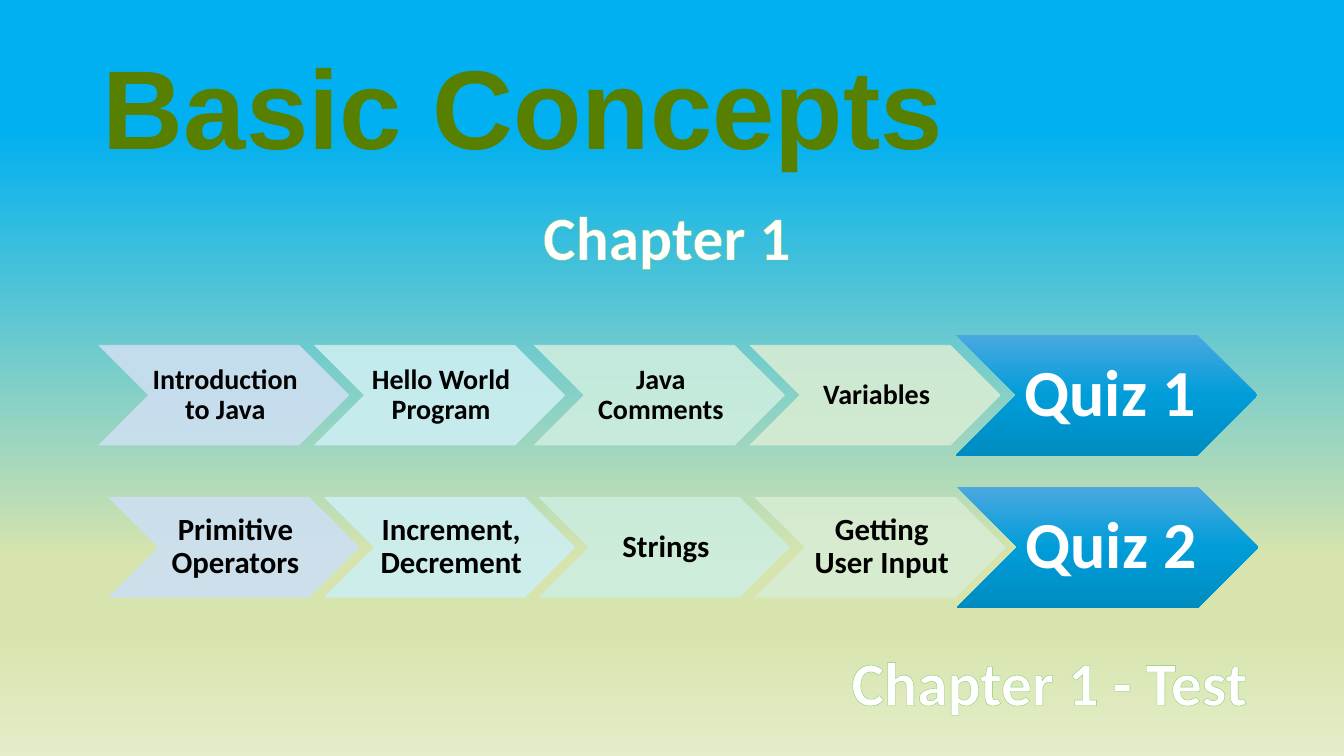
from dataclasses import dataclass

from lxml import etree
from pptx import Presentation
from pptx.dml.color import RGBColor
from pptx.enum.shapes import MSO_SHAPE
from pptx.enum.text import MSO_ANCHOR, MSO_AUTO_SIZE, PP_ALIGN
from pptx.oxml.ns import qn
from pptx.util import Inches, Pt

CHEVRON = MSO_SHAPE.CHEVRON
MIDDLE = MSO_ANCHOR.MIDDLE
CENTER, LEFT = PP_ALIGN.CENTER, PP_ALIGN.LEFT
NO_AUTOFIT = MSO_AUTO_SIZE.NONE


@dataclass(frozen=True)
class Theme:
    title_font: str = "Arial"
    font: str = "Calibri"
    title: str = "578000"
    dark: str = "000000"
    light: str = "FFFFFF"
    outline: str = "7CCA62"
    steps: tuple = ("CCDFF1", "CCEEF1", "CCEDDE", "D7ECD3")
    quiz: tuple = ((0, "4BA8E0"), (50, "009DD9"), (100, "008CC1"))
    sky: tuple = ((17, "00B0F0"), (74, "D7E4AD"), (83, "D7E4AD"), (100, "E4EDC8"))
    title_size: int = 80
    quiz_size: int = 47
    chapter_size: int = 44


theme = Theme()


def set_gradient(fill, element, stops):
    """Fill from top to bottom; element is the XML that holds the fill."""
    fill.gradient()
    fill.gradient_angle = 270
    stop_list = next(element.iter(qn("a:gsLst")))
    for old in list(stop_list):
        stop_list.remove(old)
    for percent, color in stops:
        gs = etree.SubElement(stop_list, qn("a:gs"), pos=str(percent * 1000))
        etree.SubElement(gs, qn("a:srgbClr"), val=color)


def write(sp, text, size, color, font=theme.font, align=CENTER, spacing=0.9, margins=(0.07, 0.03, 0, 0.03)):
    tf = sp.text_frame
    tf.word_wrap = True
    tf.auto_size = NO_AUTOFIT
    tf.vertical_anchor = MIDDLE
    tf.margin_left, tf.margin_top, tf.margin_right, tf.margin_bottom = map(Inches, margins)
    p = tf.paragraphs[0]
    p.alignment = align
    p.line_spacing = spacing
    r = p.add_run()
    r.text = text
    r.font.name = font
    r.font.size = Pt(size)
    r.font.bold = True
    r.font.color.rgb = RGBColor.from_string(color)
    return r


prs = Presentation()
prs.slide_width, prs.slide_height = Inches(13.33), Inches(7.5)
s = prs.slides.add_slide(prs.slide_layouts[5])
set_gradient(s.background.fill, s.element, theme.sky)

# Title
title = s.shapes.title
title.left, title.top, title.width, title.height = map(Inches, (0.92, 0.4, 11.5, 1.45))
write(title, "Basic Concepts", theme.title_size, theme.title, theme.title_font, LEFT,
      margins=(0.1, 0.05, 0.1, 0.05))

# Lesson rows: each quiz chevron is taller and shares its row's centre line
STEP_W, STEP_H = 2.48, 0.99
QUIZ_W, QUIZ_H = 2.99, 1.2
lesson_rows = (
    (3.92, 20, (0.98, 3.12, 5.3, 7.44), 9.48, "Quiz 1",
     ("Introduction to Java", "Hello World Program", "Java Comments", "Variables")),
    (5.43, 22, (1.08, 3.22, 5.35, 7.49), 9.49, "Quiz 2",
     ("Primitive Operators", "Increment, Decrement", "Strings", "Getting User Input")),
)
for middle, step_size, lefts, quiz_left, quiz_name, lessons in lesson_rows:
    row = s.shapes.add_group_shape()
    quiz = row.shapes.add_shape(CHEVRON, Inches(quiz_left), Inches(middle - QUIZ_H / 2),
                                Inches(QUIZ_W), Inches(QUIZ_H))
    quiz.shadow.inherit = False
    set_gradient(quiz.fill, quiz.element, theme.quiz)
    quiz.line.fill.background()
    write(quiz, quiz_name, theme.quiz_size, theme.light)

    for left, lesson, color in zip(lefts, lessons, theme.steps):
        step = row.shapes.add_shape(CHEVRON, Inches(left), Inches(middle - STEP_H / 2),
                                    Inches(STEP_W), Inches(STEP_H))
        step.shadow.inherit = False
        step.line.width = Pt(0.5)
        for fill in (step.fill, step.line.fill):
            fill.solid()
            fill.fore_color.rgb = RGBColor.from_string(color)
        for clr in step.element.spPr.iter(qn("a:srgbClr")):
            etree.SubElement(clr, qn("a:alpha"), val="90000")
        write(step, lesson, step_size, theme.dark, margins=(0.03, 0.01, 0, 0.01))

# Chapter labels with outlined letters
chapters = (
    ("Chapter 1", (4.89, 1.85, 3.38, 0.97)),
    ("Chapter 1 - Test", (8.06, 6.23, 4.63, 1.05)),
)
for text, box in chapters:
    label = s.shapes.add_textbox(*map(Inches, box))
    r = write(label, text, theme.chapter_size, theme.light, spacing=1.0)
    ln = etree.Element(qn("a:ln"), w=str(Pt(0.8)))
    solid = etree.SubElement(ln, qn("a:solidFill"))
    etree.SubElement(solid, qn("a:srgbClr"), val=theme.outline)
    r.font.fill  # the outline goes ahead of the letter fill
    next(label.element.iter(qn("a:rPr"))).insert(0, ln)

prs.save("out.pptx")
